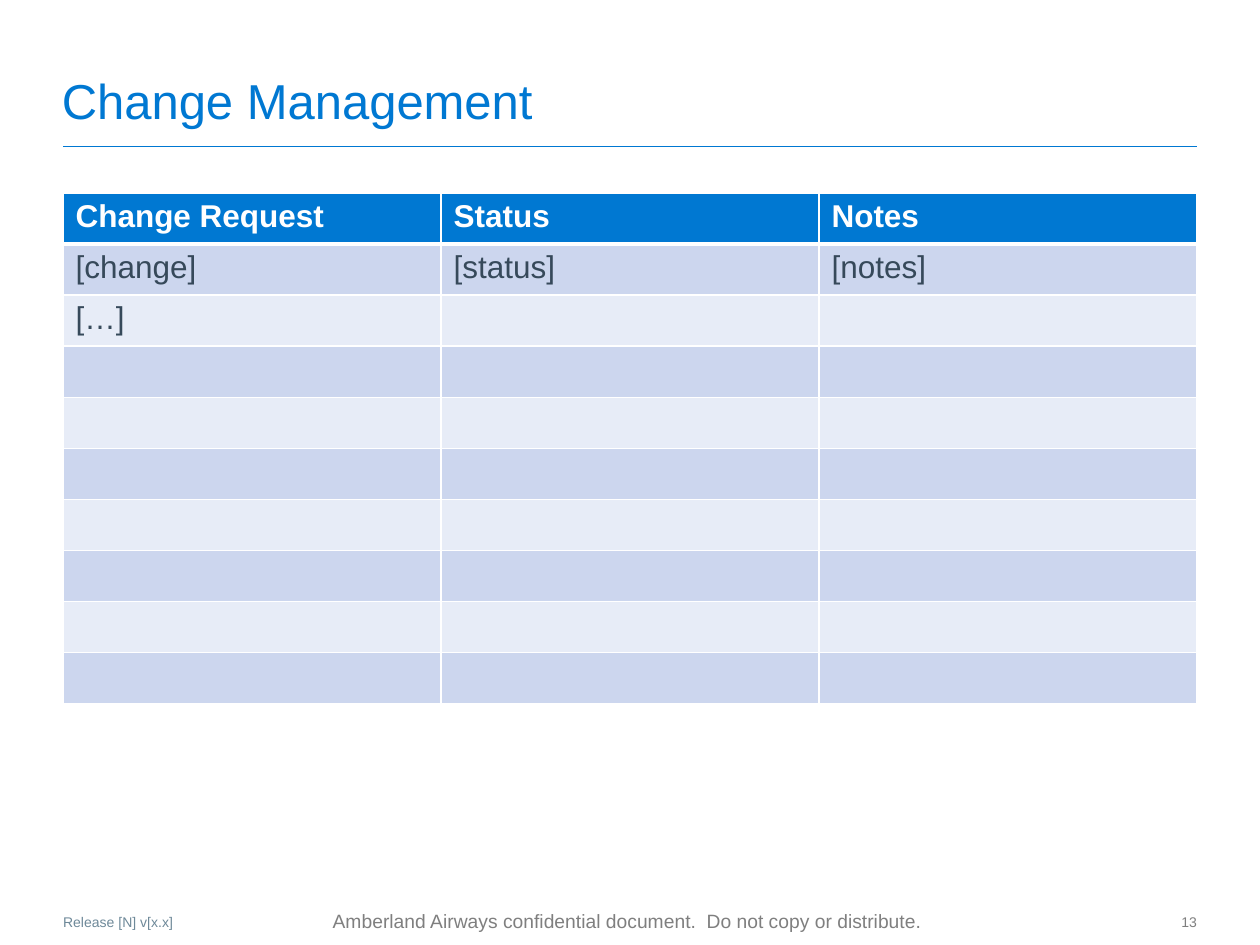
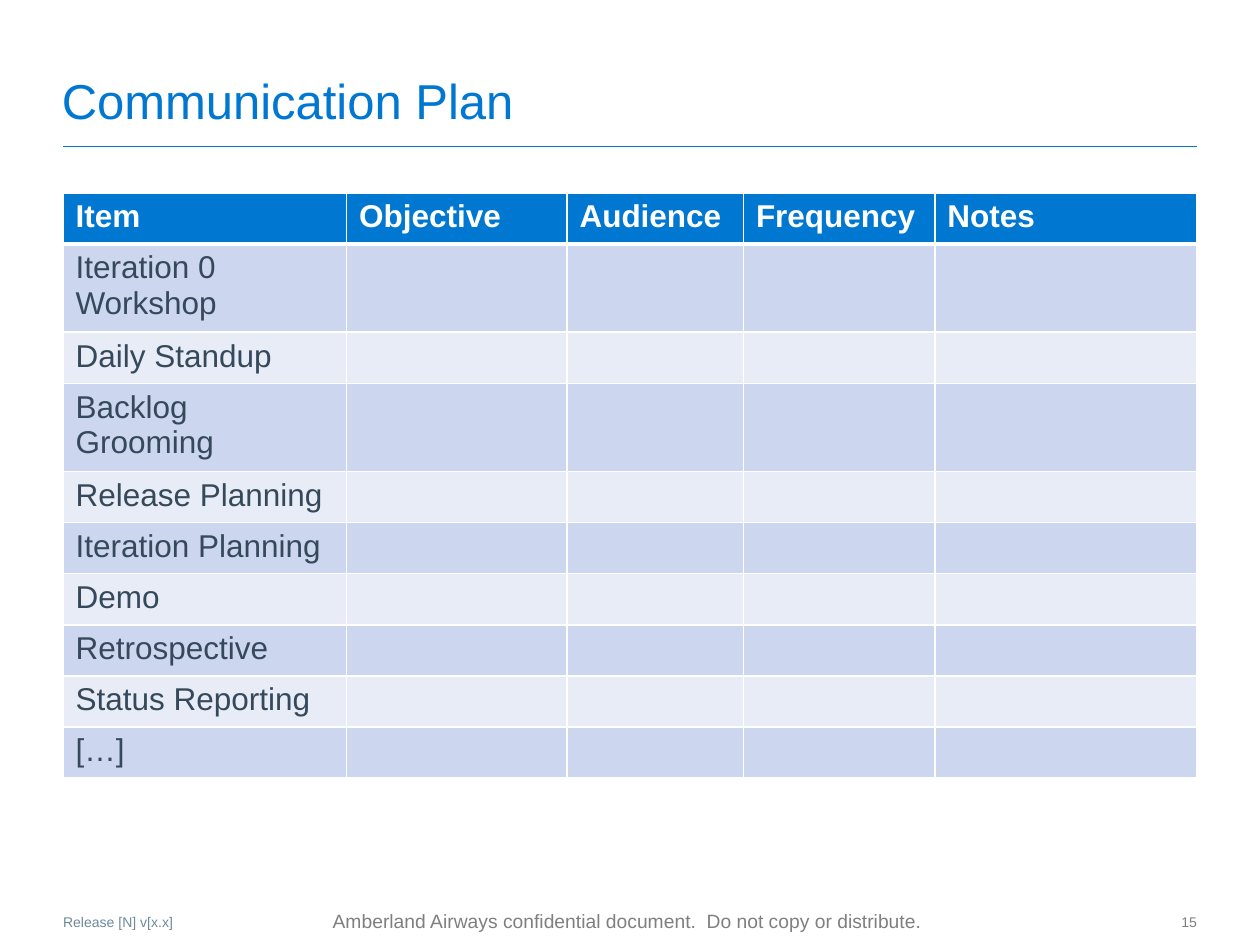
from lxml import etree
from pptx import Presentation
from pptx.dml.color import RGBColor
from pptx.enum import shapes, text
from pptx.oxml import ns
from pptx.util import Pt

BLUE = RGBColor(0x00, 0x78, 0xD2)
SLATE = RGBColor(0x36, 0x49, 0x5A)
STEEL = RGBColor(0x6E, 0x89, 0x99)
GRAY = RGBColor(0x7F, 0x7F, 0x7F)
WHITE = RGBColor(0xFF, 0xFF, 0xFF)
BANDS = RGBColor(0xCC, 0xD6, 0xEE), RGBColor(0xE7, 0xEC, 0xF7)
FONT = "Arial"
LEFT, WIDTH = 36, 648
ROW_HEIGHT = 29.2
ROWS = 10
CONFIDENTIAL = "Amberland Airways confidential document.  Do not copy or distribute."
RELEASE = "Release [N] v[x.x]"


class Deck:
    def __init__(self):
        self.prs = Presentation()
        self.prs.slide_width, self.prs.slide_height = Pt(720), Pt(540)
        self.s = None

    def style(self, tf, size, color, bold=False, align=text.PP_ALIGN.LEFT):
        for p in tf.paragraphs:
            p.alignment = align
            for r in p.runs:
                r.font.name, r.font.size, r.font.bold = FONT, Pt(size), bold
                r.font.color.rgb = color

    def label(self, words, box, size, color, align=text.PP_ALIGN.LEFT,
              anchor=text.MSO_ANCHOR.TOP, wrap=True):
        tf = self.s.shapes.add_textbox(*map(Pt, box)).text_frame
        tf.margin_left = tf.margin_right = tf.margin_top = tf.margin_bottom = 0
        tf.word_wrap, tf.vertical_anchor = wrap, anchor
        tf.text = words
        self.style(tf, size, color, align=align)

    def rule(self, y):
        line = self.s.shapes.add_connector(
            shapes.MSO_CONNECTOR.STRAIGHT, Pt(LEFT), Pt(y), Pt(LEFT + WIDTH), Pt(y))
        line.line.color.rgb, line.line.width = BLUE, Pt(0.5)
        etree.SubElement(line._element.spPr, ns.qn("a:effectLst"))

    def slide(self, title, number):
        self.s = self.prs.slides.add_slide(self.prs.slide_layouts[6])
        self.rule(83.5)
        self.label(CONFIDENTIAL, (144.7, 517, 427.7, 18.7), 11, GRAY,
                   text.PP_ALIGN.CENTER, text.MSO_ANCHOR.MIDDLE, wrap=False)
        self.label(title, (35.3, 30.2, 648.7, 43.9), 28, BLUE,
                   anchor=text.MSO_ANCHOR.BOTTOM)
        self.label(RELEASE, (LEFT, 522, 306, 10), 8, STEEL)
        self.label(str(number), (658.8, 522, 25.2, 10.8), 8, GRAY, text.PP_ALIGN.RIGHT)

    def borders(self, cell, bottom):
        tc_pr = cell._tc.get_or_add_tcPr()
        for side, width in zip("LRTB", (1, 1, 1, bottom)):
            ln = etree.SubElement(tc_pr, ns.qn(f"a:ln{side}"), w=str(Pt(width)))
            fill = etree.SubElement(ln, ns.qn("a:solidFill"))
            etree.SubElement(fill, ns.qn("a:srgbClr"), val=str(WHITE))

    def table(self, headers, widths, records):
        table = self.s.shapes.add_table(
            ROWS, len(headers), Pt(LEFT), Pt(110.2), Pt(WIDTH), Pt(ROWS * ROW_HEIGHT)).table
        for column, width in zip(table.columns, widths):
            column.width = Pt(width)
        lines = [headers, *records]
        for i, row in enumerate(table.rows):
            row.height = Pt(ROW_HEIGHT)
            words = lines[i] if i < len(lines) else []
            head = i == 0
            for j, cell in enumerate(row.cells):
                self.borders(cell, 3 if head else 1)
                cell.fill.solid()
                cell.fill.fore_color.rgb = BLUE if head else BANDS[(i - 1) % 2]
                if j < len(words):
                    cell.text_frame.text = words[j]
                    self.style(cell.text_frame, 18, WHITE if head else SLATE, head)


def main():
    deck = Deck()
    deck.slide("Change Management", 13)
    deck.table(["Change Request", "Status", "Notes"], [WIDTH / 3] * 3,
               [["[change]", "[status]", "[notes]"], ["[…]"]])

    deck.slide("Communication Plan", 15)
    items = ["Iteration 0 Workshop", "Daily Standup", "Backlog Grooming",
             "Release Planning", "Iteration Planning", "Demo", "Retrospective",
             "Status Reporting", "[…]"]
    deck.table(["Item", "Objective", "Audience", "Frequency", "Notes"],
               [162, 126, 100.8, 109.4, 149.8], [[item] for item in items])
    deck.prs.save("out.pptx")


if __name__ == "__main__":
    main()
